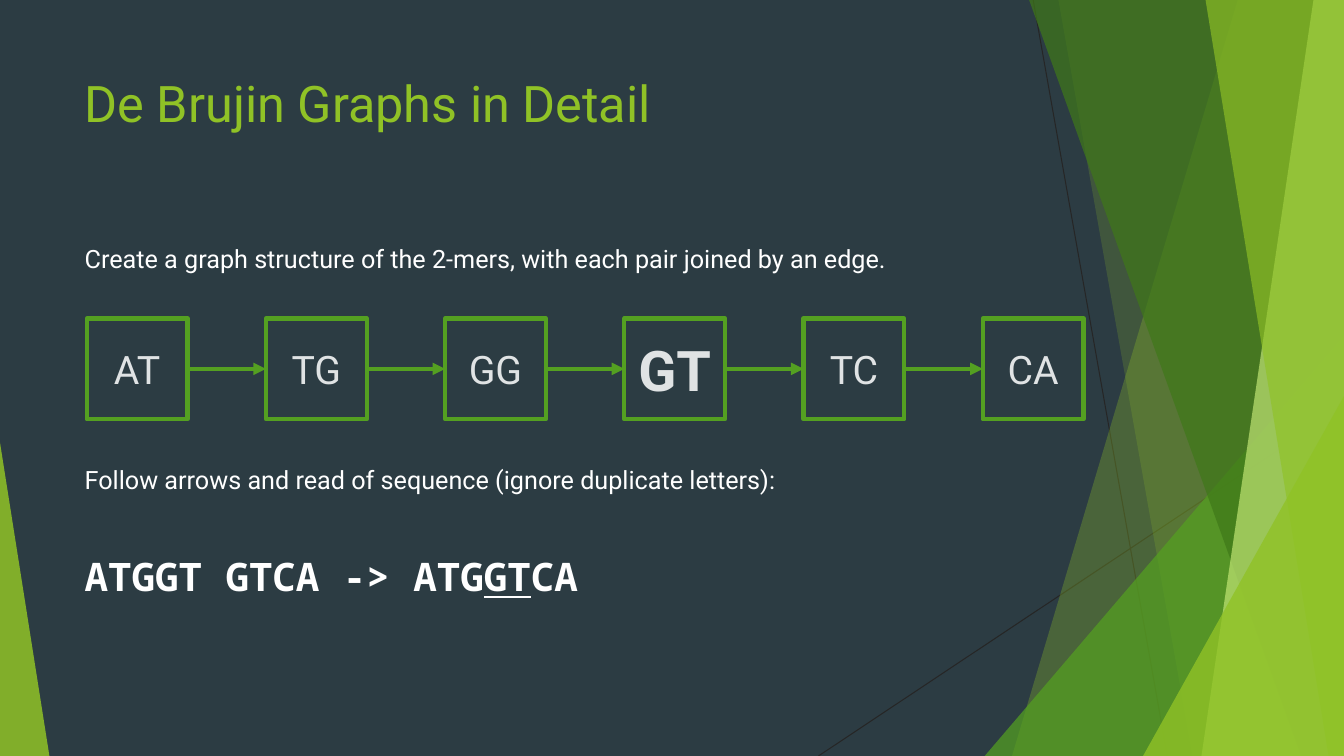
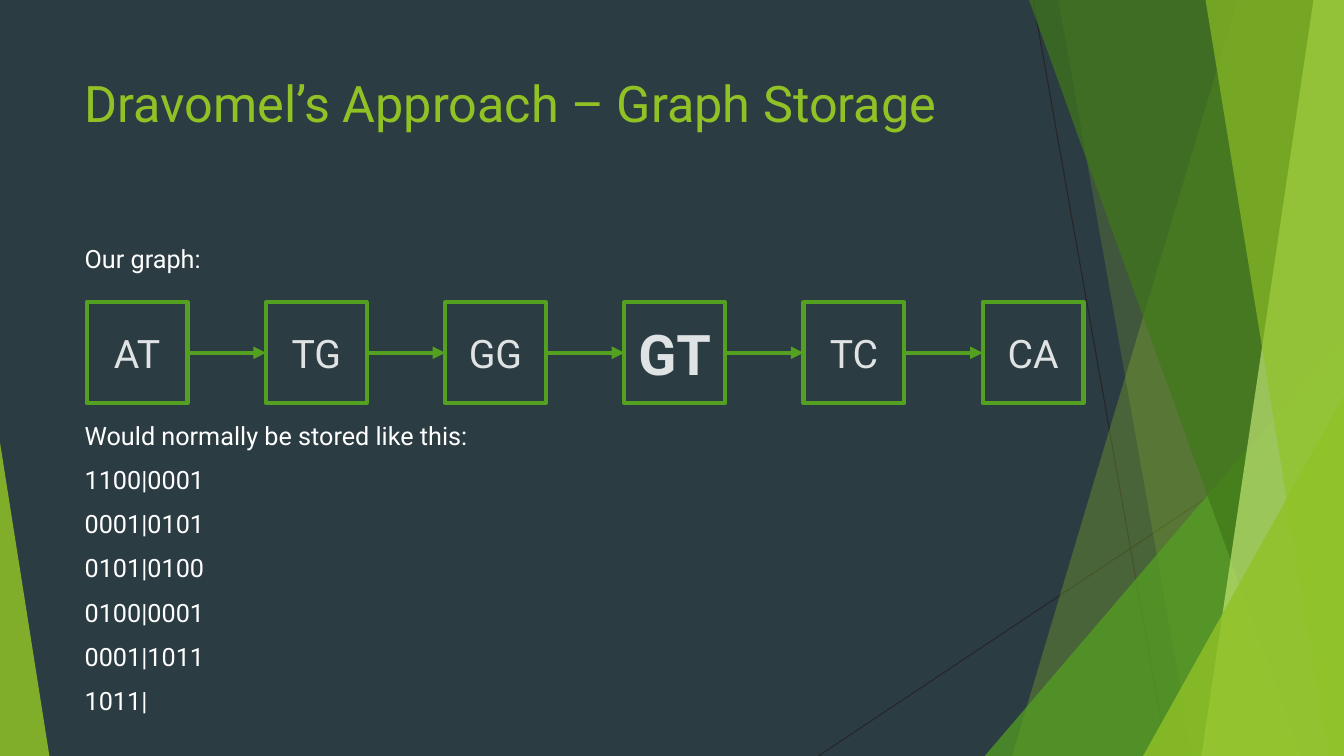
from lxml import etree
from pptx import Presentation
from pptx import util as u
from pptx.dml.color import RGBColor
from pptx.enum import shapes, text
from pptx.oxml.ns import qn

Pt = u.Pt
WIDTH, HEIGHT = 960, 540

COLORS = {
    "background": "2C3C43",
    "lime": "90C226",
    "green": "54A021",
    "forest": "3F7819",
    "pale": "C0E474",
    "hairline": "262626",
    "text": "FFFFFF",
    "node_text": "E0E3E4",
}

# Row of k-mer nodes
KMERS = ["AT", "TG", "GG", "GT", "TC", "CA"]
REPEATED_KMER = "GT"
NODE_LEFT, NODE_PITCH, NODE_SIZE = 62, 128, 72

# Body rhythm: one text line together with its gap
GAP, LINE_PITCH = 10, 31.57

# Facets in stacking order; a band runs from its left edge to the slide's right
FACETS = [
    # kind, position, colour, opacity in percent
    ("hairline", (738, 0, 833.8, HEIGHT), "hairline", 100),
    ("hairline", (WIDTH, 290.2, 584.6, HEIGHT), "hairline", 100),
    ("band", (884.2, 722.9), "lime", 30),
    ("band", (756, 851.8), "lime", 20),
    ("triangle", (703.4, 239.8, WIDTH, 1), "green", 72),
    ("band", (735.1, 929.5), "forest", 70),
    ("band", (938.2, 858.2), "pale", 70),
    ("band", (861.1, 949), "lime", 65),
    ("triangle", (816.5, 283, WIDTH, 1), "lime", 80),
    ("triangle", (0, 316.1, 35.3, 0), "lime", 85),
]


def rgb(name):
    return RGBColor.from_string(COLORS[name])


class Deck:
    """Holds the style and the current slide."""

    font = "Roboto"
    code_font = "Noto Sans Mono"

    def __init__(self):
        self.presentation = Presentation()
        self.presentation.slide_width = Pt(WIDTH)
        self.presentation.slide_height = Pt(HEIGHT)
        self.master = self.presentation.slide_master
        background = self.master.background.fill
        background.solid()
        background.fore_color.rgb = rgb("background")
        self.slide = None

    def add_slide(self, title):
        layout = self.presentation.slide_layouts[1]
        self.slide = self.presentation.slides.add_slide(layout)
        frame = self.place(self.slide.shapes.title, 48.2, 104)
        frame.text = title
        paragraph = frame.paragraphs[0]
        paragraph.alignment = text.PP_ALIGN.LEFT
        self.style(paragraph.font, 36, "lime")

    def place(self, placeholder, top, height):
        placeholder.left, placeholder.top = Pt(53.3), Pt(top)
        placeholder.width, placeholder.height = Pt(677), Pt(height)
        frame = placeholder.text_frame
        frame.word_wrap = True
        frame.auto_size = text.MSO_AUTO_SIZE.NONE
        frame.vertical_anchor = text.MSO_ANCHOR.TOP
        return frame

    def style(self, font, size, color, name=None, bold=False):
        font.name = name or self.font
        font.size = Pt(size)
        font.bold = bold
        font.color.rgb = rgb(color)

    def body(self, lines):
        """Each line is (text, lines of space above it)."""
        frame = self.place(self.slide.placeholders[1], 170, 305)
        for index, (line, skipped) in enumerate(lines):
            paragraph = frame.paragraphs[0] if index == 0 else frame.add_paragraph()
            self.body_paragraph(paragraph, skipped)
            paragraph.add_run().text = line
            self.style(paragraph.font, 18, "text")

    def body_paragraph(self, paragraph, skipped):
        paragraph.space_before = Pt(GAP + skipped * LINE_PITCH)
        properties = paragraph.space_before and paragraph._p.get_or_add_pPr()
        properties.set("marL", "0")
        properties.set("indent", "0")
        etree.SubElement(properties, qn("a:buNone"))

    def sequence(self, parts, skipped):
        """Code line; each part is (text, underlined)."""
        paragraph = self.slide.placeholders[1].text_frame.add_paragraph()
        self.body_paragraph(paragraph, skipped)
        self.style(paragraph.font, 28, "text", self.code_font, True)
        for part, underlined in parts:
            run = paragraph.add_run()
            run.text = part
            if underlined:
                run.font.underline = True

    def fill(self, shape, color, opacity=100):
        shape.shadow.inherit = False
        shape.fill.solid()
        shape.fill.fore_color.rgb = rgb(color)
        if opacity < 100:
            value = shape.element.spPr.find(f"{qn('a:solidFill')}/{qn('a:srgbClr')}")
            etree.SubElement(value, qn("a:alpha"), val=str(opacity * 1000))

    def line(self, parent, ends, color, width, arrow=False):
        connector = parent.add_connector(
            shapes.MSO_CONNECTOR.STRAIGHT, *(Pt(end) for end in ends))
        connector.line.color.rgb = rgb(color)
        connector.line.width = Pt(width)
        properties = connector.element.spPr
        if arrow:
            etree.SubElement(properties.find(qn("a:ln")), qn("a:tailEnd"), type="triangle")
        etree.SubElement(properties, qn("a:effectLst"))
        return connector

    def band(self, parent, top_x, bottom_x):
        builder = parent.build_freeform(Pt(top_x), Pt(0))
        corners = [(WIDTH, 0), (WIDTH, HEIGHT), (bottom_x, HEIGHT)]
        builder.add_line_segments([(Pt(x), Pt(y)) for x, y in corners], close=True)
        return builder.convert_to_shape()

    def triangle(self, parent, left, top, right, apex):
        shape = parent.add_shape(
            shapes.MSO_SHAPE.ISOSCELES_TRIANGLE,
            Pt(left), Pt(top), Pt(right - left), Pt(HEIGHT - top))
        shape.adjustments[0] = apex
        return shape

    def facets(self):
        """Draws the facets as a group and hands it to the master."""
        group = self.slide.shapes.add_group_shape()
        for kind, position, color, opacity in FACETS:
            if kind == "hairline":
                self.line(group.shapes, position, color, 0.75)
                continue
            draw = self.band if kind == "band" else self.triangle
            shape = draw(group.shapes, *position)
            self.fill(shape, color, opacity)
            shape.line.fill.background()
        # Shape ids must stay unique on the master
        for number, item in enumerate(group.element.iter(qn("p:cNvPr")), 100):
            item.set("id", str(number))
        self.master.element.cSld.spTree.insert(2, group.element)

    def node(self, label, left, top):
        shape = self.slide.shapes.add_shape(
            shapes.MSO_SHAPE.RECTANGLE, Pt(left), Pt(top), Pt(NODE_SIZE), Pt(NODE_SIZE))
        self.fill(shape, "background")
        shape.line.color.rgb = rgb("green")
        shape.line.width = Pt(3)
        frame = shape.text_frame
        frame.text = label
        frame.vertical_anchor = text.MSO_ANCHOR.MIDDLE
        paragraph = frame.paragraphs[0]
        paragraph.alignment = text.PP_ALIGN.CENTER
        repeated = label == REPEATED_KMER
        self.style(paragraph.font, 40 if repeated else 28, "node_text", bold=repeated)
        return shape

    def graph(self, top):
        nodes = [self.node(kmer, NODE_LEFT + index * NODE_PITCH, top)
                 for index, kmer in enumerate(KMERS)]
        for source, target in zip(nodes, nodes[1:]):
            edge = self.line(self.slide.shapes, (0, 0, 0, 0), "green", 3, arrow=True)
            edge.begin_connect(source, 3)
            edge.end_connect(target, 1)


def main():
    deck = Deck()

    # Reading a sequence from the graph
    deck.add_slide("De Brujin Graphs in Detail")
    deck.facets()
    deck.body([
        ("Create a graph structure of the 2-mers, with each pair joined by an edge.", 0),
        ("Follow arrows and read of sequence (ignore duplicate letters):", 4),
    ])
    deck.sequence([("ATGGT GTCA -> ATG", False), ("GT", True), ("CA", False)], 1)
    deck.graph(227.5)

    # Storing the graph
    deck.add_slide("Dravomel’s Approach – Graph Storage")
    edges = ["1100|0001", "0001|0101", "0101|0100", "0100|0001", "0001|1011", "1011|"]
    deck.body([("Our graph:", 0), ("Would normally be stored like this:", 3)]
              + [(edge, 0) for edge in edges])
    deck.graph(216)

    deck.presentation.save("out.pptx")


if __name__ == "__main__":
    main()
